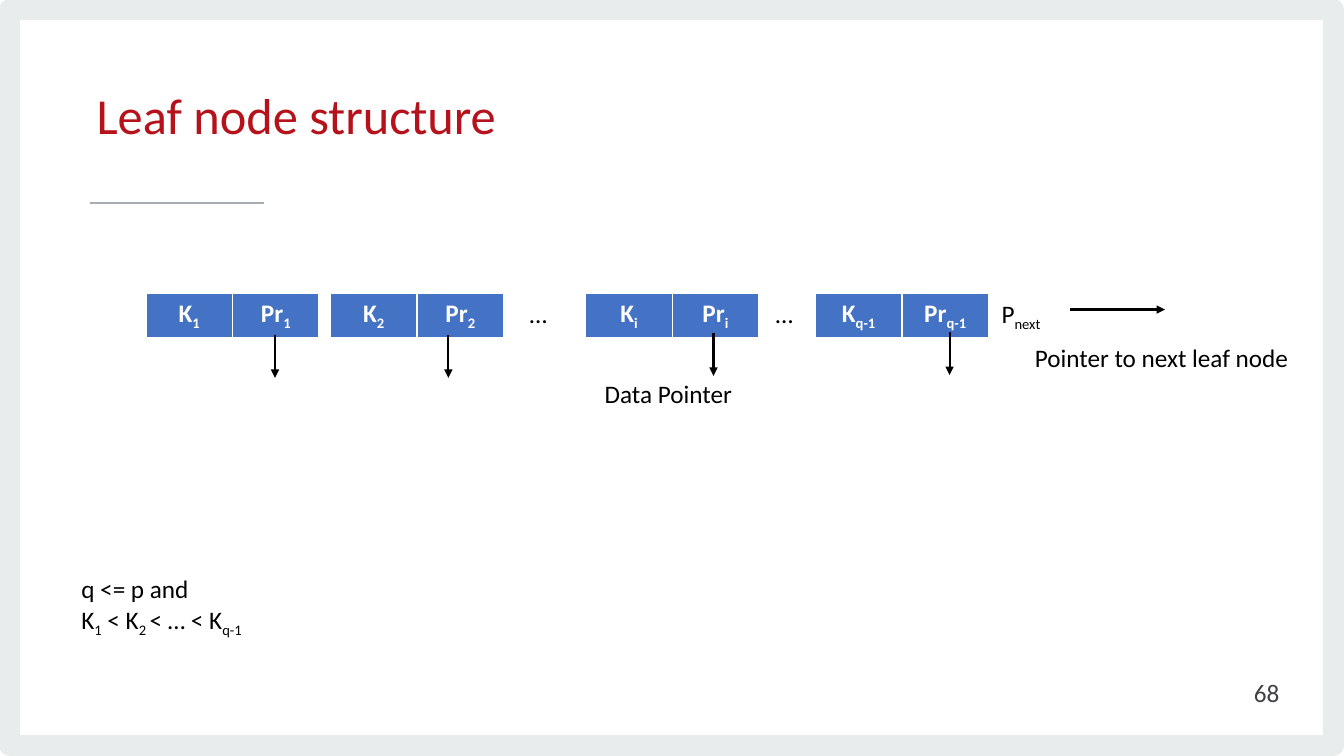
from lxml import etree
from pptx import Presentation
from pptx.dml.color import RGBColor
from pptx.enum.shapes import MSO_CONNECTOR, MSO_SHAPE
from pptx.enum.text import MSO_ANCHOR, MSO_AUTO_SIZE, PP_ALIGN
from pptx.oxml.ns import qn
from pptx.util import Cm, Pt

STRAIGHT = MSO_CONNECTOR.STRAIGHT
RECTANGLE = MSO_SHAPE.RECTANGLE
MIDDLE = MSO_ANCHOR.MIDDLE
FIT_SHAPE = MSO_AUTO_SIZE.SHAPE_TO_FIT_TEXT
LEFT, CENTER, RIGHT = PP_ALIGN.LEFT, PP_ALIGN.CENTER, PP_ALIGN.RIGHT
color = RGBColor.from_string

BODY = {"name": "Calibri", "size": Pt(18), "bold": False, "color": "000000"}
KEY = {**BODY, "bold": True, "color": "FFFFFF"}
NUMBER = {**BODY, "color": "414042"}
HEADING = {**BODY, "size": Pt(36), "color": "B5121B"}


def write(para, text, style, align=LEFT):
    para.alignment = align
    for index, part in enumerate(text.split("|")):
        span = para.add_run()
        span.text = part
        for name, value in style.items():
            if name == "color":
                span.font.color.rgb = color(value)
            else:
                setattr(span.font, name, value)
        if index % 2:
            span._r.get_or_add_rPr().set("baseline", "-25000")


def draw_line(page, start, end, line_color, width, arrow=False):
    line = page.shapes.add_connector(STRAIGHT, *map(Cm, start + end))
    line.line.color.rgb = color(line_color)
    line.line.width = Pt(width)
    if arrow:
        etree.SubElement(line.line._get_or_add_ln(), qn("a:tailEnd"), type="triangle")
    etree.SubElement(line._element.spPr, qn("a:effectLst"))


deck = Presentation()
deck.slide_width, deck.slide_height = Cm(33.87), Cm(19.05)
page = deck.slides.add_slide(deck.slide_layouts[5])

frame = page.shapes.add_shape(RECTANGLE, Cm(0.25), Cm(0.25), Cm(33.35), Cm(18.53))
frame.shadow.inherit = False
frame.fill.background()
frame.line.color.rgb = color("E9ECED")
frame.line.width = Pt(15.11)
etree.SubElement(frame.line._get_or_add_ln(), qn("a:round"))

draw_line(page, (2.26, 5.11), (6.65, 5.11), "A6ADB1", 1.33)

title = page.shapes.title
title.left, title.top, title.width, title.height = Cm(2.18), Cm(1.32), Cm(22.33), Cm(3.4)
title.text_frame.vertical_anchor = MIDDLE
title.text_frame.paragraphs[0].line_spacing = Pt(34.7)
write(title.text_frame.paragraphs[0], "Leaf node structure", HEADING)

number_box = page.shapes.add_textbox(Cm(24.87), Cm(16.94), Cm(7.62), Cm(1.02))
number_box.text_frame.word_wrap = True
number_box.text_frame.vertical_anchor = MIDDLE
write(number_box.text_frame.paragraphs[0], "68", NUMBER, RIGHT)

ROW_TOP, CELL_WIDTH, CELL_HEIGHT = 7.39, 2.18, 1.04
entries = [
    ("1", 3.68, 6.93, 8.43),
    ("2", 8.33, 11.3, 8.43),
    ("i", 14.76, 17.98, 8.38),
    ("q-1", 20.55, 23.93, 8.36),
]
for subscript, left, arrow_x, arrow_top in entries:
    table = page.shapes.add_table(
        1, 2, Cm(left), Cm(ROW_TOP), Cm(2 * CELL_WIDTH), Cm(CELL_HEIGHT)
    ).table
    for cell, name in zip(table.rows[0].cells, ("K", "Pr")):
        cell.margin_left = cell.margin_right = Cm(0.08)
        cell.margin_top = cell.margin_bottom = Cm(0.13)
        cell.fill.solid()
        cell.fill.fore_color.rgb = color("4472C4")
        write(cell.text_frame.paragraphs[0], f"{name}|{subscript}", KEY, CENTER)
    draw_line(page, (arrow_x, arrow_top), (arrow_x, arrow_top + 1.09), "000000", 1.5, True)

draw_line(page, (26.97, 7.8), (29.36, 7.8), "000000", 1.5, True)

labels = [
    ("…", 13.1, ROW_TOP, 0.95),
    ("…", 19.3, ROW_TOP, 0.95),
    ("P|next", 24.99, ROW_TOP, 1.6),
    ("Data Pointer", 14.99, 9.4, 3.76),
    ("Pointer to next leaf node", 25.83, 8.51, 6.99),
]
for text, left, top, width in labels:
    box = page.shapes.add_textbox(Cm(left), Cm(top), Cm(width), Cm(1.02))
    box.text_frame.word_wrap = False
    box.text_frame.auto_size = FIT_SHAPE
    write(box.text_frame.paragraphs[0], text, BODY)

condition_box = page.shapes.add_textbox(Cm(1.8), Cm(14.33), Cm(7.14), Cm(1.8))
condition_box.text_frame.word_wrap = True
write(condition_box.text_frame.paragraphs[0], "q <= p and", BODY)
write(condition_box.text_frame.add_paragraph(), "K|1| < K|2 |< … < K|q-1", BODY)

deck.save("out.pptx")
